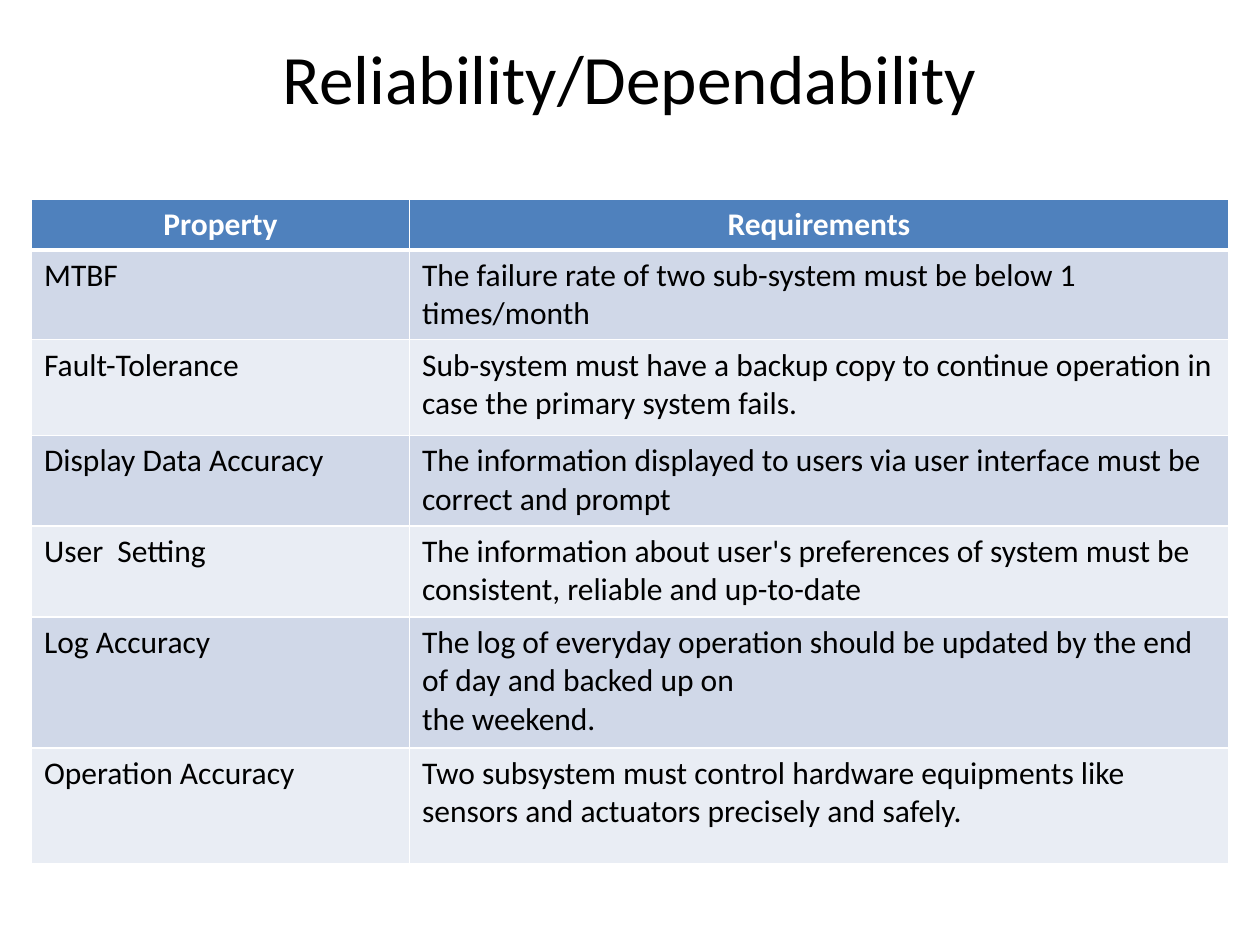
from lxml.etree import SubElement
from pptx import Presentation
from pptx.dml.color import RGBColor
from pptx.enum.text import MSO_ANCHOR, PP_ALIGN
from pptx.oxml.ns import qn
from pptx.util import Inches, Pt

WHITE = RGBColor(0xFF, 0xFF, 0xFF)
BLACK = RGBColor(0, 0, 0)
BLUE = RGBColor(0x4F, 0x81, 0xBD)
BANDS = [RGBColor(0xE9, 0xED, 0xF4), RGBColor(0xD0, 0xD8, 0xE8)]
FONT = "Calibri"

COLS = [3, 6.5]
ROWS = [
    (0.39, "Property", "Requirements"),
    (0.71, "MTBF", "The failure rate of two sub-system must be below 1 times/month"),
    (0.76, "Fault-Tolerance",
     "Sub-system must have a backup copy to continue operation in case the primary system fails."),
    (0.72, "Display Data Accuracy",
     "The information displayed to users via user interface must be correct and prompt"),
    (0.72, "User  Setting",
     "The information about user's preferences of system must be consistent, reliable and up-to-date"),
    (1.04, "Log Accuracy",
     "The log of everyday operation should be updated by the end of day and backed up on\nthe weekend."),
    (0.92, "Operation Accuracy",
     "Two subsystem must control hardware equipments like sensors and actuators precisely and safely."),
]


def set_font(par, size, color, bold=False):
    font = par.font
    font.name, font.size, font.bold = FONT, Pt(size), bold
    font.color.rgb = color


def add_edge(cell, side, width):
    line = SubElement(cell._tc.get_or_add_tcPr(), qn(f"a:ln{side}"), w=str(Pt(width)))
    fill = SubElement(line, qn("a:solidFill"))
    SubElement(fill, qn("a:srgbClr"), val=str(WHITE))


deck = Presentation()
deck.slide_width, deck.slide_height = Inches(10), Inches(7.5)
slide = deck.slides.add_slide(deck.slide_layouts[5])

# Title, raised by a deep bottom inset
title = slide.shapes.title
title.left, title.top = Inches(0.5), Inches(0.3)
title.width, title.height = Inches(9), Inches(1.25)
frame = title.text_frame
frame.text = "Reliability/Dependability"
frame.vertical_anchor = MSO_ANCHOR.MIDDLE
frame.margin_bottom = Inches(0.68)
frame.paragraphs[0].alignment = PP_ALIGN.CENTER
set_font(frame.paragraphs[0], 39.6, BLACK)

# Table of requirements
high = sum(row[0] for row in ROWS)
table = slide.shapes.add_table(len(ROWS), len(COLS), Inches(0.25), Inches(1.58),
                               Inches(sum(COLS)), Inches(high)).table
for col, width in zip(table.columns, COLS):
    col.width = Inches(width)

for r, (height, *texts) in enumerate(ROWS):
    head = r == 0
    table.rows[r].height = Inches(height)
    for c, text in enumerate(texts):
        cell = table.cell(r, c)
        cell.text = text
        for side in "LRTB":
            thick = (head and side == "B") or (r == 1 and side == "T")
            add_edge(cell, side, 3 if thick else 1)
        cell.fill.solid()
        cell.fill.fore_color.rgb = BLUE if head else BANDS[r % 2]
        for par in cell.text_frame.paragraphs:
            par.alignment = PP_ALIGN.CENTER if head else PP_ALIGN.LEFT
            set_font(par, 18, WHITE if head else BLACK, head)

deck.save("out.pptx")
